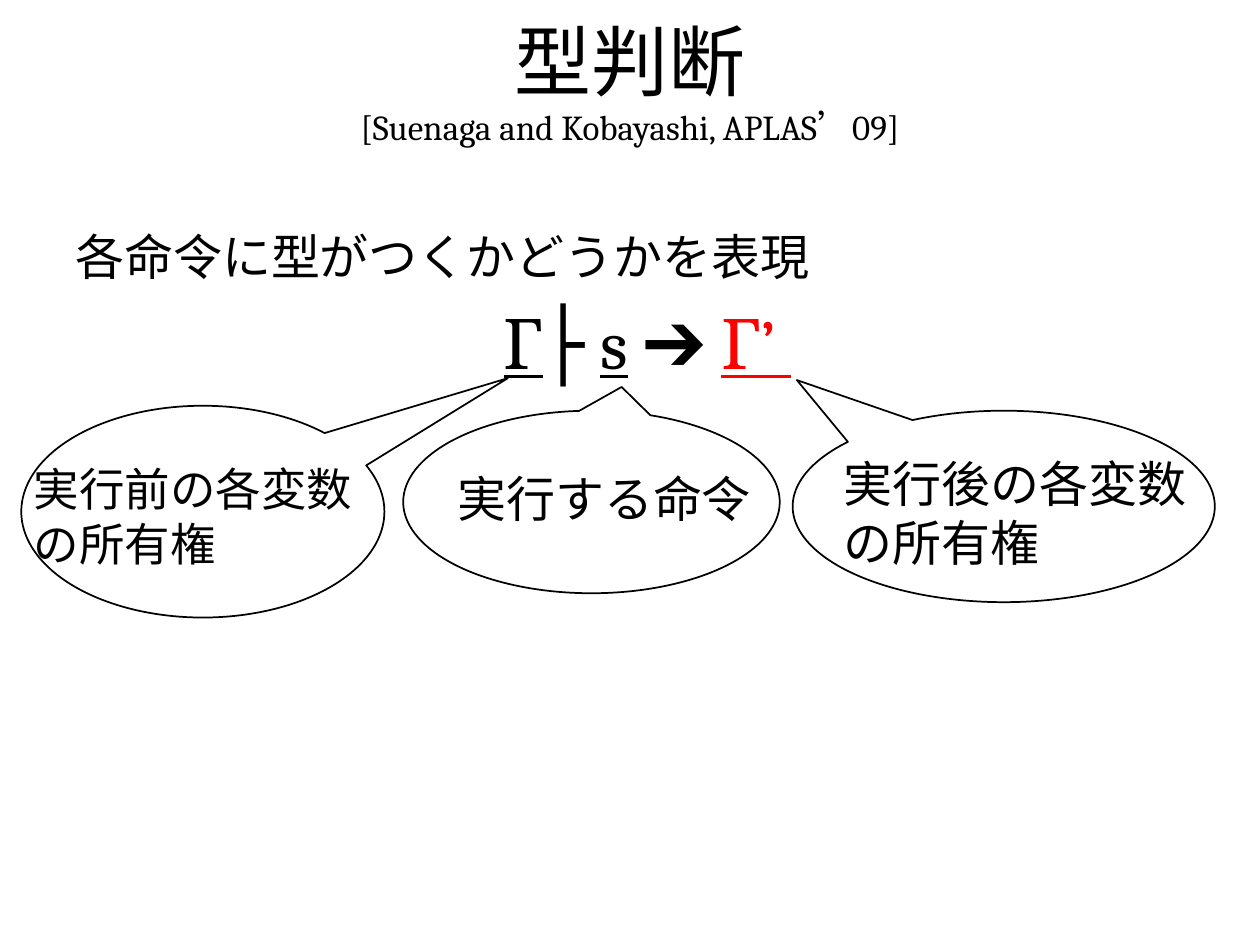
from pptx import Presentation
from pptx.dml.color import RGBColor
from pptx.enum.shapes import MSO_SHAPE
from pptx.enum.text import MSO_ANCHOR, PP_ALIGN
from pptx.util import Cm, Pt

BLACK = RGBColor(0, 0, 0)
RED = RGBColor(255, 0, 0)
CENTER = PP_ALIGN.CENTER
MIDDLE = MSO_ANCHOR.MIDDLE
CALLOUT = MSO_SHAPE.OVAL_CALLOUT

deck = Presentation()
deck.slide_width = Cm(25.4)
deck.slide_height = Cm(19.05)
page = deck.slides.add_slide(deck.slide_layouts[6])


def add_box(left, top, width, height):
    box = page.shapes.add_textbox(Cm(left), Cm(top), Cm(width), Cm(height))
    box.text_frame.word_wrap = True
    return box.text_frame


def add_span(para, text, size, font, color=BLACK, underline=False):
    span = para.add_run()
    span.text = text
    span.font.size = Pt(size)
    span.font.name = font
    span.font.color.rgb = color
    span.font.underline = underline


title = add_box(1.27, 0.03, 22.86, 3.18)
title.vertical_anchor = MIDDLE
para = title.paragraphs[0]
para.alignment = CENTER
add_span(para, "型判断", 44, "Calibri")
para.add_line_break()
add_span(para, "[Suenaga and Kobayashi, APLAS’09]", 20, "Cambria")

body = add_box(1.27, 4.45, 22.86, 12.57)
para = body.paragraphs[0]
para.space_before = Pt(5.6)
add_span(para, "各命令に型がつくかどうかを表現", 28, "Courier New")

judgement = body.add_paragraph()
judgement.alignment = CENTER
judgement.space_before = Pt(8)
judgement._p.get_or_add_pPr().set("marL", str(Cm(0.7)))
for text, color, underline in [
    ("Γ", BLACK, True),
    ("├ ", BLACK, False),
    ("s", BLACK, True),
    (" ➔ ", BLACK, False),
    ("Γ’ ", RED, True),
]:
    add_span(judgement, text, 40, "Cambria", color, underline)

callouts = [
    ((8.13, 8.28, 7.59, 3.68), (0.08, -0.63), (8.97, 9.32, 7.8, 1.45), 28, ["実行する命令"]),
    ((0.43, 8.18, 7.32, 4.27), (0.84, -0.63), (0.43, 9.17, 8.13, 2.49), 26, ["実行前の各変数", "の所有権"]),
    ((15.98, 8.28, 8.51, 3.86), (-0.49, -0.66), (16.76, 9.02, 7.72, 2.64), 28, ["実行後の各変数の所有権"]),
]
for bubble_place, tip, label_place, size, lines in callouts:
    bubble = page.shapes.add_shape(CALLOUT, *[Cm(length) for length in bubble_place])
    bubble.shadow.inherit = False
    bubble.fill.background()
    bubble.line.color.rgb = BLACK
    bubble.line.width = Pt(1)
    bubble.adjustments[0], bubble.adjustments[1] = tip
    label = add_box(*label_place)
    for index, line in enumerate(lines):
        para = label.add_paragraph() if index else label.paragraphs[0]
        add_span(para, line, size, "Calibri")

deck.save("out.pptx")
